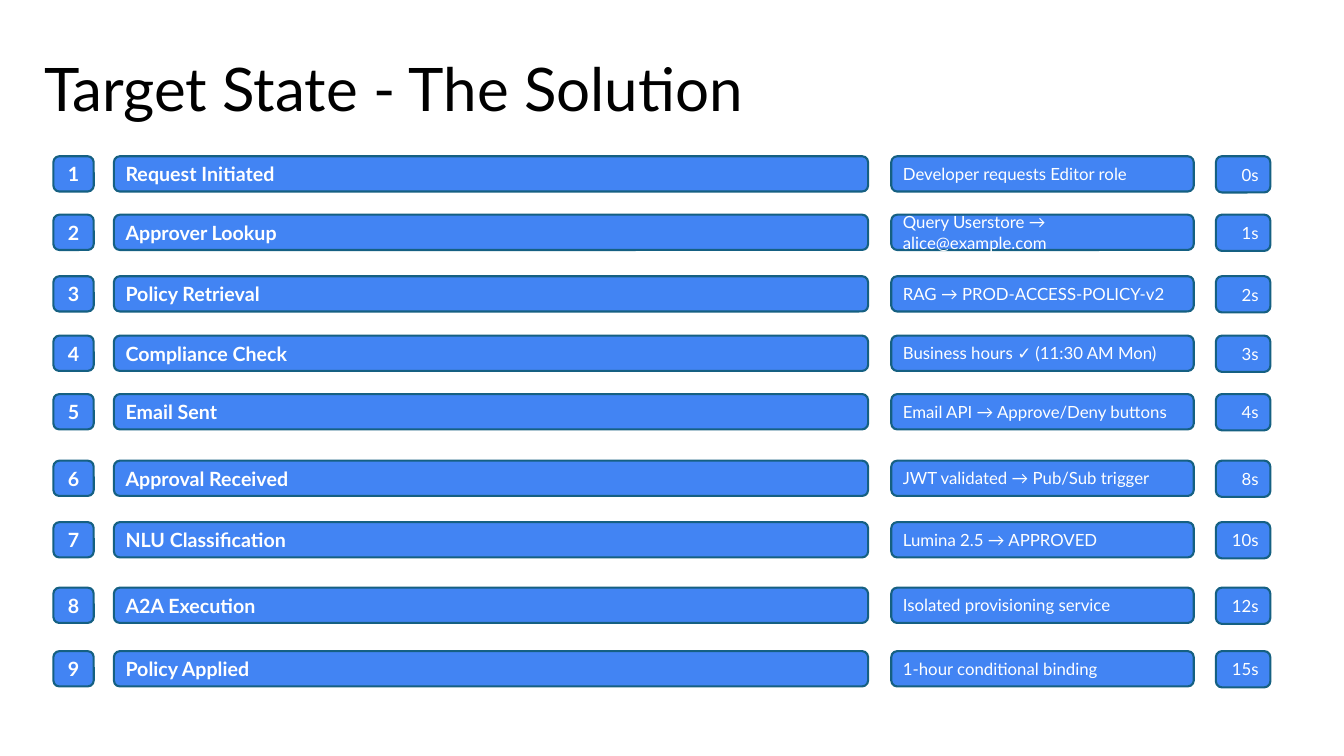
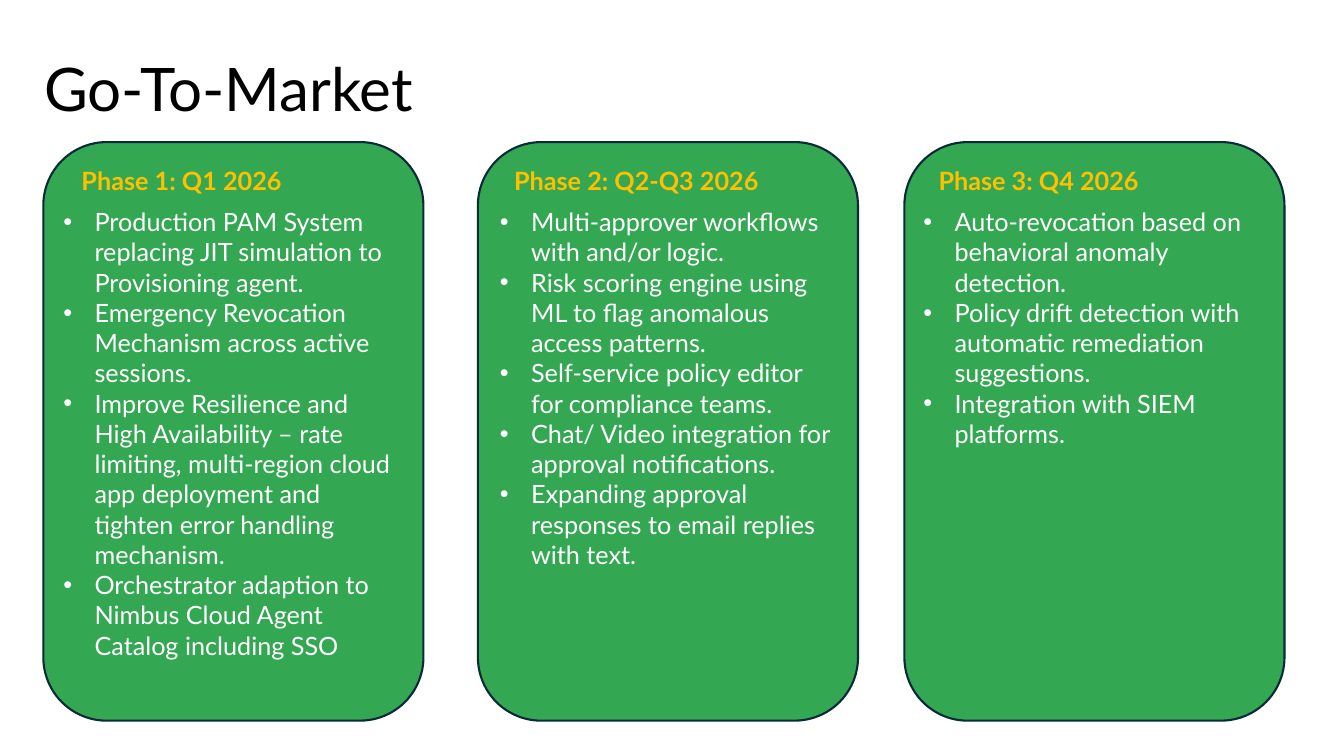
from lxml.etree import SubElement
from pptx import Presentation
from pptx.dml.color import RGBColor
from pptx.enum.shapes import MSO_SHAPE as Shape
from pptx.enum.text import MSO_ANCHOR as Anchor, PP_ALIGN as Align
from pptx.oxml.ns import qn
from pptx.util import Inches, Pt

COLORS = {
    "title": "000000", "text": "FFFFFF", "heading": "FFC000",
    "step": "4284F3", "step_line": "156082",
    "card": "34A753", "card_line": "092A39",
}
FONT = "Lato"
TITLE = {"size": Pt(42.9)}
LABEL = {"size": Pt(14), "bold": True}
DETAIL = {"size": Pt(12)}
HEADING = {"size": Pt(18), "bold": True}
BULLET = {"size": Pt(18)}
BULLET_INDENT = 0.31

STEP_COLUMNS = [
    (0.53, 0.4, 0.35, Align.CENTER, LABEL),
    (1.13, 7.48, 0.35, Align.LEFT, LABEL),
    (8.84, 3, 0.35, Align.LEFT, DETAIL),
    (12.06, 0.54, 0.36, Align.RIGHT, DETAIL),
]
STEPS = [
    (1.55, "Request Initiated", "Developer requests Editor role", "0s"),
    (2.13, "Approver Lookup", "Query Userstore → alice@example.com", "1s"),
    (2.74, "Policy Retrieval", "RAG → PROD-ACCESS-POLICY-v2", "2s"),
    (3.33, "Compliance Check", "Business hours ✓ (11:30 AM Mon)", "3s"),
    (3.91, "Email Sent", "Email API → Approve/Deny buttons", "4s"),
    (4.57, "Approval Received", "JWT validated → Pub/Sub trigger", "8s"),
    (5.18, "NLU Classification", "Lumina 2.5 → APPROVED", "10s"),
    (5.83, "A2A Execution", "Isolated provisioning service", "12s"),
    (6.46, "Policy Applied", "1-hour conditional binding", "15s"),
]

CARD_TOP, CARD_WIDTH, CARD_HEIGHT = 1.41, 3.77, 5.74
PHASES = [
    (0.43, 0.28, 0.1, "Phase 1: Q1 2026", [
        "Production PAM System replacing JIT simulation to Provisioning agent.",
        "Emergency Revocation Mechanism across active sessions.",
        "Improve Resilience and High Availability – rate limiting, multi-region cloud "
        "app deployment and tighten error handling mechanism.",
        "Orchestrator adaption to Nimbus Cloud Agent Catalog including SSO",
    ]),
    (4.74, 0.26, 0.12, "Phase 2: Q2-Q3 2026", [
        "Multi-approver workflows with and/or logic.",
        "Risk scoring engine using ML to flag anomalous access patterns.",
        "Self-service policy editor for compliance teams.",
        "Chat/ Video integration for approval notifications.",
        "Expanding approval responses to email replies with text.",
    ]),
    (8.97, 0.24, 0.09, "Phase 3: Q4 2026", [
        "Auto-revocation based on behavioral anomaly detection.",
        "Policy drift detection with automatic remediation suggestions.",
        "Integration with SIEM platforms.",
    ]),
]


def write(paragraph, text, color, style):
    paragraph.text = text
    font = paragraph.runs[0].font
    for name, value in {"name": FONT, **style}.items():
        setattr(font, name, value)
    font.color.rgb = RGBColor.from_string(COLORS[color])


def add_text(slide, box, lines, color, style):
    frame = slide.shapes.add_textbox(*map(Inches, box)).text_frame
    frame.word_wrap = True
    for index, line in enumerate(lines):
        paragraph = frame.add_paragraph() if index else frame.paragraphs[0]
        write(paragraph, line, color, style)
    return frame


def add_panel(slide, box, color):
    shape = slide.shapes.add_shape(Shape.ROUNDED_RECTANGLE, *map(Inches, box))
    shape.shadow.inherit = False
    shape.fill.solid()
    shape.fill.fore_color.rgb = RGBColor.from_string(COLORS[color])
    shape.line.color.rgb = RGBColor.from_string(COLORS[color + "_line"])
    shape.line.width = Pt(1.5)
    return shape


def add_bullet(paragraph):
    properties = paragraph._p.get_or_add_pPr()
    properties.set("marL", str(Inches(BULLET_INDENT)))
    properties.set("indent", str(-Inches(BULLET_INDENT)))
    SubElement(properties, qn("a:buFont")).set("typeface", "Arial")
    SubElement(properties, qn("a:buChar")).set("char", "•")


def add_titled_slide(presentation, title):
    slide = presentation.slides.add_slide(presentation.slide_layouts[6])
    frame = add_text(slide, (0.34, 0.6, 11.5, 0.74), [title], "title", TITLE)
    frame.paragraphs[0].line_spacing = 0.8
    return slide


def add_step(slide, top, texts):
    for (left, width, height, alignment, style), text in zip(STEP_COLUMNS, texts):
        shape = add_panel(slide, (left, top, width, height), "step")
        shape.text_frame.vertical_anchor = Anchor.MIDDLE
        paragraph = shape.text_frame.paragraphs[0]
        paragraph.alignment = alignment
        write(paragraph, text, "text", style)


def add_phase(slide, box, heading_inset, list_inset, heading, items):
    left, top, width, height = box
    add_panel(slide, box, "card")
    add_text(slide, (left + heading_inset, top + 0.18, 2.89, 0.4),
             [heading], "heading", HEADING)
    frame = add_text(slide, (left + list_inset, top + 0.59, width - 0.28, height - 1.4),
                     items, "text", BULLET)
    for paragraph in frame.paragraphs:
        add_bullet(paragraph)


def build_solution(presentation):
    slide = add_titled_slide(presentation, "Target State - The Solution")
    for number, (top, *texts) in enumerate(STEPS, 1):
        add_step(slide, top, [str(number), *texts])


def build_market(presentation):
    slide = add_titled_slide(presentation, "Go-To-Market")
    for left, *content in PHASES:
        add_phase(slide, (left, CARD_TOP, CARD_WIDTH, CARD_HEIGHT), *content)


def main():
    presentation = Presentation()
    presentation.slide_width = Inches(13.33)
    presentation.slide_height = Inches(7.5)
    build_solution(presentation)
    build_market(presentation)
    presentation.save("out.pptx")


if __name__ == "__main__":
    main()
